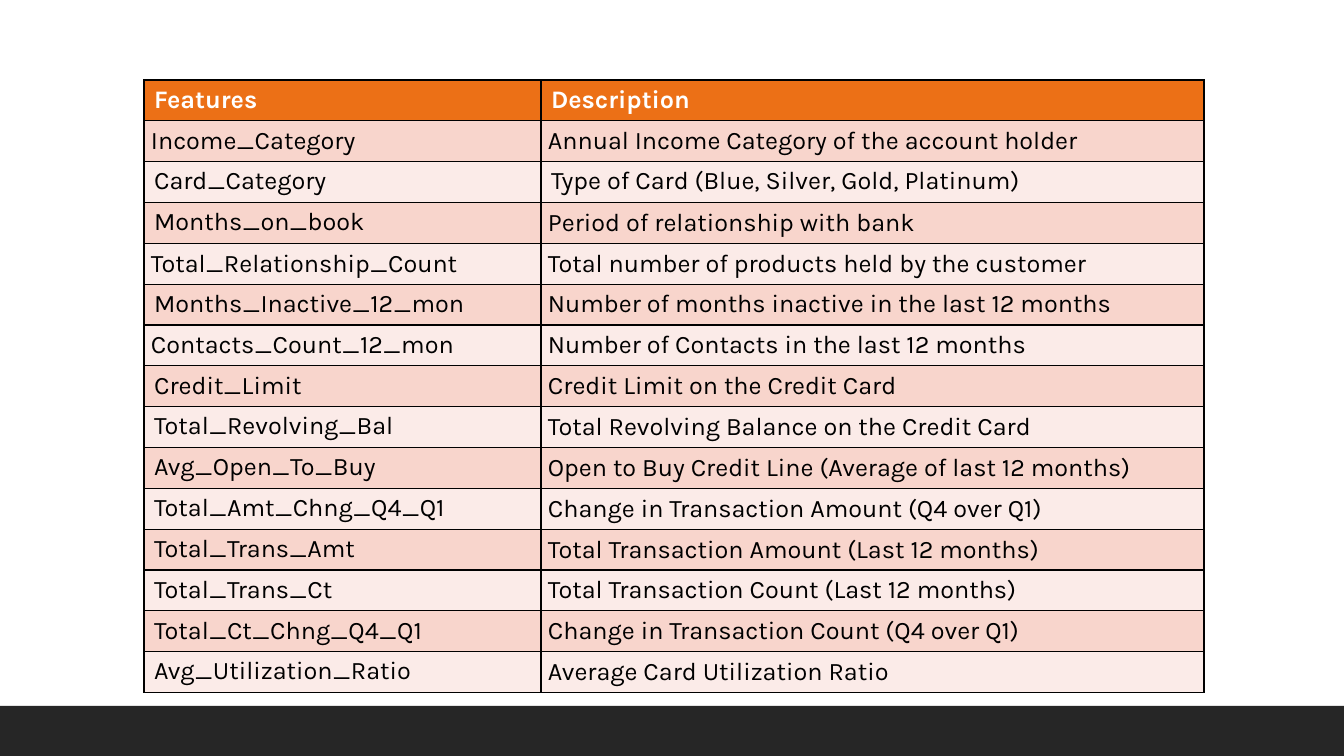
from lxml import etree
from pptx import Presentation
from pptx import util as u
from pptx.dml.color import RGBColor
from pptx.enum import shapes, text
from pptx.oxml import ns

PX = 914400 / 100.8
WIDTH, HEIGHT = 1344, 756
FONT = "Karla"
WHITE = RGBColor(0xFF, 0xFF, 0xFF)
BLACK = RGBColor(0x00, 0x00, 0x00)
ORANGE = RGBColor(0xEC, 0x70, 0x16)
ROSE = RGBColor(0xF8, 0xD5, 0xCC)
PALE_ROSE = RGBColor(0xFB, 0xEB, 0xE8)
CHARCOAL = RGBColor(0x26, 0x26, 0x26)

FEATURES = [
    ("Features", "Description"),
    ("Income_Category", "Annual Income Category of the account holder"),
    ("Card_Category", "Type of Card (Blue, Silver, Gold, Platinum)"),
    ("Months_on_book", "Period of relationship with bank"),
    ("Total_Relationship_Count", "Total number of products held by the customer"),
    ("Months_Inactive_12_mon", "Number of months inactive in the last 12 months"),
    ("Contacts_Count_12_mon", "Number of Contacts in the last 12 months"),
    ("Credit_Limit", "Credit Limit on the Credit Card"),
    ("Total_Revolving_Bal", "Total Revolving Balance on the Credit Card"),
    ("Avg_Open_To_Buy", "Open to Buy Credit Line (Average of last 12 months)"),
    ("Total_Amt_Chng_Q4_Q1", "Change in Transaction Amount (Q4 over Q1)"),
    ("Total_Trans_Amt", "Total Transaction Amount (Last 12 months)"),
    ("Total_Trans_Ct", "Total Transaction Count (Last 12 months)"),
    ("Total_Ct_Chng_Q4_Q1", "Change in Transaction Count (Q4 over Q1)"),
    ("Avg_Utilization_Ratio", "Average Card Utilization Ratio"),
]
COLUMN_WIDTHS = (397, 663)
TIGHT_NAMES = {"Income_Category", "Total_Relationship_Count", "Contacts_Count_12_mon"}
ROOMY_DESCRIPTIONS = {"Description", "Type of Card (Blue, Silver, Gold, Platinum)"}


def px(n):
    return u.Emu(round(n * PX))


def add_borders(cell):
    tcPr = cell._tc.get_or_add_tcPr()
    for i, side in enumerate(("a:lnL", "a:lnR", "a:lnT", "a:lnB")):
        ln = etree.Element(ns.qn(side), w=str(u.Pt(1)))
        fill = etree.SubElement(ln, ns.qn("a:solidFill"))
        etree.SubElement(fill, ns.qn("a:srgbClr"), val=str(BLACK))
        tcPr.insert(i, ln)


def fill_cell(cell, label, row, tight):
    header = row == 0
    cell.fill.solid()
    cell.fill.fore_color.rgb = ORANGE if header else ROSE if row % 2 else PALE_ROSE
    if tight:
        cell.margin_left = cell.margin_right = px(7)
        cell.margin_top = cell.margin_bottom = px(3)
        cell.vertical_anchor = text.MSO_ANCHOR.MIDDLE
    cell.text = label
    font = cell.text_frame.paragraphs[0].font
    font.name, font.size, font.bold = FONT, u.Pt(18), header
    font.color.rgb = WHITE if header else BLACK
    add_borders(cell)


def add_feature_table(s, x, y, w, h):
    frame = s.shapes.add_table(len(FEATURES), 2, px(x), px(y), px(w), px(h))
    table = frame.table
    for column, share in zip(table.columns, COLUMN_WIDTHS):
        column.width = px(w * share / sum(COLUMN_WIDTHS))
    for i, (name, description) in enumerate(FEATURES):
        table.rows[i].height = px(h / len(FEATURES))
        fill_cell(table.cell(i, 0), name, i, name in TIGHT_NAMES)
        fill_cell(table.cell(i, 1), description, i, description not in ROOMY_DESCRIPTIONS)


def add_footer_band(s, x, y, w, h):
    sp = s.shapes.add_shape(shapes.MSO_SHAPE.RECTANGLE, px(x), px(y), px(w), px(h))
    sp.shadow.inherit = False
    sp.fill.solid()
    sp.fill.fore_color.rgb = CHARCOAL
    sp.line.fill.background()


def main():
    prs = Presentation()
    prs.slide_width, prs.slide_height = px(WIDTH), px(HEIGHT)
    s = prs.slides.add_slide(prs.slide_layouts[6])
    add_footer_band(s, 0, 706, WIDTH, 50)
    add_feature_table(s, 144, 80, 1060, 613)
    prs.save("out.pptx")


if __name__ == "__main__":
    main()
